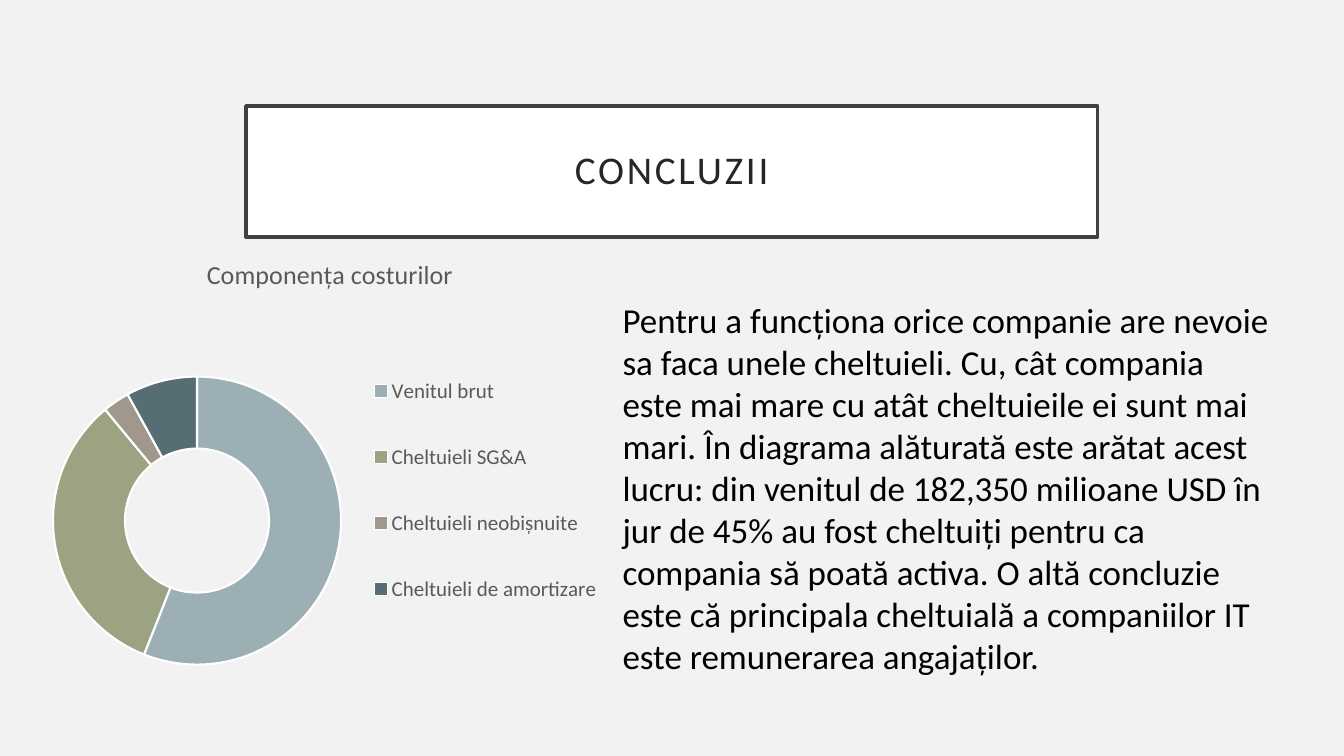
from dataclasses import dataclass

from lxml.etree import SubElement
from pptx import Presentation
from pptx.chart.data import CategoryChartData
from pptx.dml.color import RGBColor
from pptx.enum.chart import XL_CHART_TYPE, XL_LEGEND_POSITION
from pptx.enum.shapes import MSO_SHAPE
from pptx.enum.text import MSO_ANCHOR, PP_ALIGN
from pptx.oxml.ns import qn
from pptx.util import Cm, Pt


@dataclass(frozen=True)
class Theme:
    """Colours, font and type sizes of the slide."""
    font: str = "Calibri"
    background: str = "F2F2F2"
    white: str = "FFFFFF"
    frame: str = "404040"
    heading: str = "262626"
    body: str = "000000"
    chart_text: str = "595959"
    slices: tuple = ("9BAFB5", "9CA383", "A0988C", "566D74")
    heading_size: float = 28
    body_size: float = 25
    chart_title_size: float = 18.6
    legend_size: float = 15


THEME = Theme()

COSTS_TITLE = "Componența costurilor"
COSTS = {
    "Venitul brut": 56,
    "Cheltuieli SG&A": 33,
    "Cheltuieli neobișnuite": 3,
    "Cheltuieli de amortizare": 8,
}
CONCLUSION = (
    "Pentru a funcționa orice companie are nevoie sa faca unele cheltuieli. "
    "Cu, cât compania este mai mare cu atât cheltuieile ei sunt mai mari. "
    "În diagrama alăturată este arătat acest lucru: din venitul de 182,350 "
    "milioane USD în jur de 45% au fost cheltuiți pentru ca compania să poată "
    "activa. O altă concluzie este că principala cheltuială a companiilor IT "
    "este remunerarea angajaților."
)


def paint(fill, color):
    """Give a fill one solid colour."""
    fill.solid()
    fill.fore_color.rgb = RGBColor.from_string(color)


def style_font(font, size, color):
    """Set typeface, size and colour of a font."""
    font.name = THEME.font
    font.size = Pt(size)
    font.bold = False
    font.color.rgb = RGBColor.from_string(color)


def write_text(frame, text, *, size, color, align=PP_ALIGN.LEFT,
               anchor=MSO_ANCHOR.TOP, line_spacing=None, tracking=None):
    """Write one formatted paragraph into a wrapping text frame."""
    frame.word_wrap = True
    frame.vertical_anchor = anchor
    paragraph = frame.paragraphs[0]
    paragraph.alignment = align
    paragraph.line_spacing = line_spacing
    run = paragraph.add_run()
    run.text = text
    style_font(run.font, size, color)
    if tracking:
        run.font._element.set("spc", str(tracking * 100))


def add_heading(slide, text, box):
    """Add the framed heading."""
    banner = slide.shapes.add_shape(MSO_SHAPE.RECTANGLE, *box)
    banner.shadow.inherit = False
    paint(banner.fill, THEME.white)
    paint(banner.line.fill, THEME.frame)
    banner.line.width = Pt(2.5)
    write_text(banner.text_frame, text, size=THEME.heading_size,
               color=THEME.heading, align=PP_ALIGN.CENTER,
               anchor=MSO_ANCHOR.MIDDLE, line_spacing=0.9, tracking=2)


def add_body(slide, text, box):
    """Add the body paragraph."""
    body = slide.shapes.add_textbox(*box)
    write_text(body.text_frame, text, size=THEME.body_size, color=THEME.body)


def place_in_chart(part, x, y, w, h, inner=False):
    """Place a chart part by fractions of the chart area."""
    layout = part.find(qn("c:layout"))
    if layout is None:
        layout = SubElement(part, qn("c:layout"))
        # The schema wants the legend layout right after its position.
        position = part.find(qn("c:legendPos"))
        if position is not None:
            position.addnext(layout)
        else:
            part.insert(0, layout)
    manual = SubElement(layout, qn("c:manualLayout"))
    settings = {"layoutTarget": "inner"} if inner else {}
    settings |= {"xMode": "edge", "yMode": "edge", "x": x, "y": y, "w": w, "h": h}
    for name, value in settings.items():
        SubElement(manual, qn(f"c:{name}")).set("val", str(value))


def add_doughnut(slide, title, shares, box):
    """Add the doughnut chart with its title and legend."""
    data = CategoryChartData()
    data.categories = list(shares)
    data.add_series(title, list(shares.values()))
    chart = slide.shapes.add_chart(XL_CHART_TYPE.DOUGHNUT, *box, data).chart
    style_font(chart.font, THEME.legend_size, THEME.chart_text)

    chart.has_title = True
    write_text(chart.chart_title.text_frame, title, align=PP_ALIGN.CENTER,
               size=THEME.chart_title_size, color=THEME.chart_text)
    chart.chart_title.include_in_layout = False

    chart.has_legend = True
    chart.legend.position = XL_LEGEND_POSITION.BOTTOM
    chart.legend.include_in_layout = False
    style_font(chart.legend.font, THEME.legend_size, THEME.chart_text)
    place_in_chart(chart.legend._element, 0.56, 0.23, 0.43, 0.7)

    plot = chart.plots[0]
    plot.vary_by_categories = True
    plot._element.find(qn("c:holeSize")).set("val", "50")
    plot_area = plot._element.getparent()
    place_in_chart(plot_area, 0.01, 0.32, 0.51, 0.66, inner=True)
    for index, color in enumerate(THEME.slices):
        slice_format = plot.series[0].points[index].format
        paint(slice_format.fill, color)
        paint(slice_format.line.fill, THEME.white)
        slice_format.line.width = Pt(1.5)


def main():
    """Build and save the conclusions slide."""
    deck = Presentation()
    deck.slide_width, deck.slide_height = Cm(33.87), Cm(19.05)
    slide = deck.slides.add_slide(deck.slide_layouts[6])
    paint(slide.background.fill, THEME.background)
    add_heading(slide, "CONCLUZII", (Cm(6.2), Cm(2.67), Cm(21.46), Cm(3.3)))
    add_doughnut(slide, COSTS_TITLE, COSTS,
                 (Cm(1.19), Cm(5.97), Cm(14.25), Cm(11)))
    add_body(slide, CONCLUSION, (Cm(15.44), Cm(7.39), Cm(16.81), Cm(9.88)))
    deck.save("out.pptx")


main()
